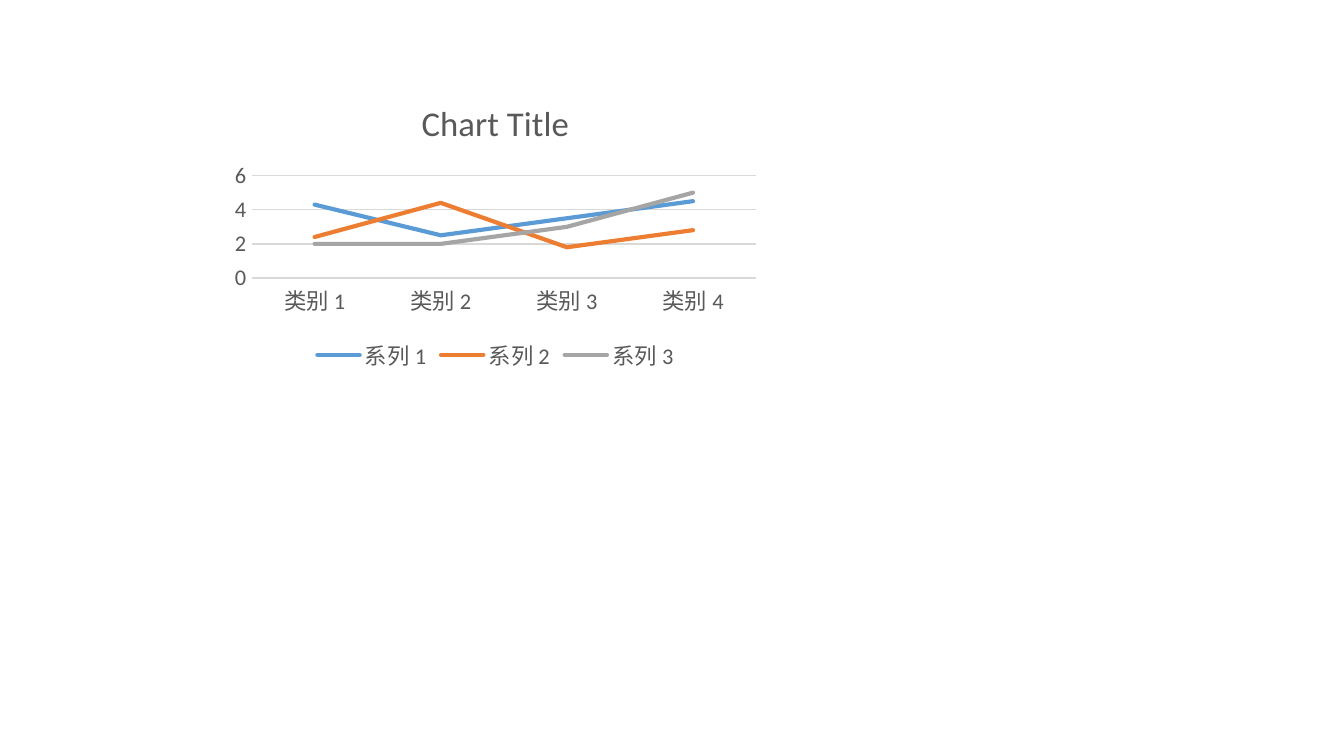
import dataclasses

import pptx
import pptx.chart.data
import pptx.dml.color
import pptx.enum.chart
import pptx.util


@dataclasses.dataclass(frozen=True)
class Theme:
    font: str = "Calibri"
    text: str = "595959"
    rule: str = "D9D9D9"
    series: tuple = ("5B9BD5", "ED7D31", "A5A5A5")
    title_size: float = 18.6
    label_size: float = 12
    rule_width: float = 0.75
    series_width: float = 2.25


theme = Theme()
EMU_PER_PX = 914400 / 134.4


def px(length):
    return pptx.util.Emu(round(length * EMU_PER_PX))


def style_line(line, color, width):
    line.color.rgb = pptx.dml.color.RGBColor.from_string(color)
    line.width = pptx.util.Pt(width)


presentation = pptx.Presentation()
presentation.slide_width = px(1344)
presentation.slide_height = px(756)
slide = presentation.slides.add_slide(presentation.slide_layouts[6])

chart_data = pptx.chart.data.CategoryChartData()
chart_data.categories = [f"类别 {number}" for number in range(1, 5)]
series_values = ((4.3, 2.5, 3.5, 4.5), (2.4, 4.4, 1.8, 2.8), (2, 2, 3, 5))
for number, values in enumerate(series_values, start=1):
    chart_data.add_series(f"系列 {number}", values)

chart = slide.shapes.add_chart(
    pptx.enum.chart.XL_CHART_TYPE.LINE,
    px(224), px(79), px(543), px(298), chart_data,
).chart

chart.has_title = True
chart.chart_title.include_in_layout = False
title_paragraph = chart.chart_title.text_frame.paragraphs[0]
title_paragraph.text = "Chart Title"

chart.has_legend = True
chart.legend.position = pptx.enum.chart.XL_LEGEND_POSITION.BOTTOM
chart.legend.include_in_layout = False

category_axis = chart.category_axis
value_axis = chart.value_axis
for axis in (category_axis, value_axis):
    axis.major_tick_mark = pptx.enum.chart.XL_TICK_MARK.NONE
    axis.minor_tick_mark = pptx.enum.chart.XL_TICK_MARK.NONE
style_line(category_axis.format.line, theme.rule, theme.rule_width)
value_axis.minimum_scale = 0
value_axis.maximum_scale = 6
value_axis.major_unit = 2
value_axis.format.line.fill.background()
value_axis.has_major_gridlines = True
style_line(value_axis.major_gridlines.format.line, theme.rule, theme.rule_width)

text_styles = (
    (title_paragraph.runs[0].font, theme.title_size),
    (chart.legend.font, theme.label_size),
    (category_axis.tick_labels.font, theme.label_size),
    (value_axis.tick_labels.font, theme.label_size),
)
for font, size in text_styles:
    font.name = theme.font
    font.size = pptx.util.Pt(size)
    font.bold = False
    font.color.rgb = pptx.dml.color.RGBColor.from_string(theme.text)

plot = chart.plots[0]
plot.vary_by_categories = False
for series, color in zip(plot.series, theme.series):
    series.smooth = False
    series.marker.style = pptx.enum.chart.XL_MARKER_STYLE.NONE
    style_line(series.format.line, color, theme.series_width)
    line_properties = series.format.line._get_or_add_ln()
    line_properties.set("cap", "rnd")

presentation.save("out.pptx")
